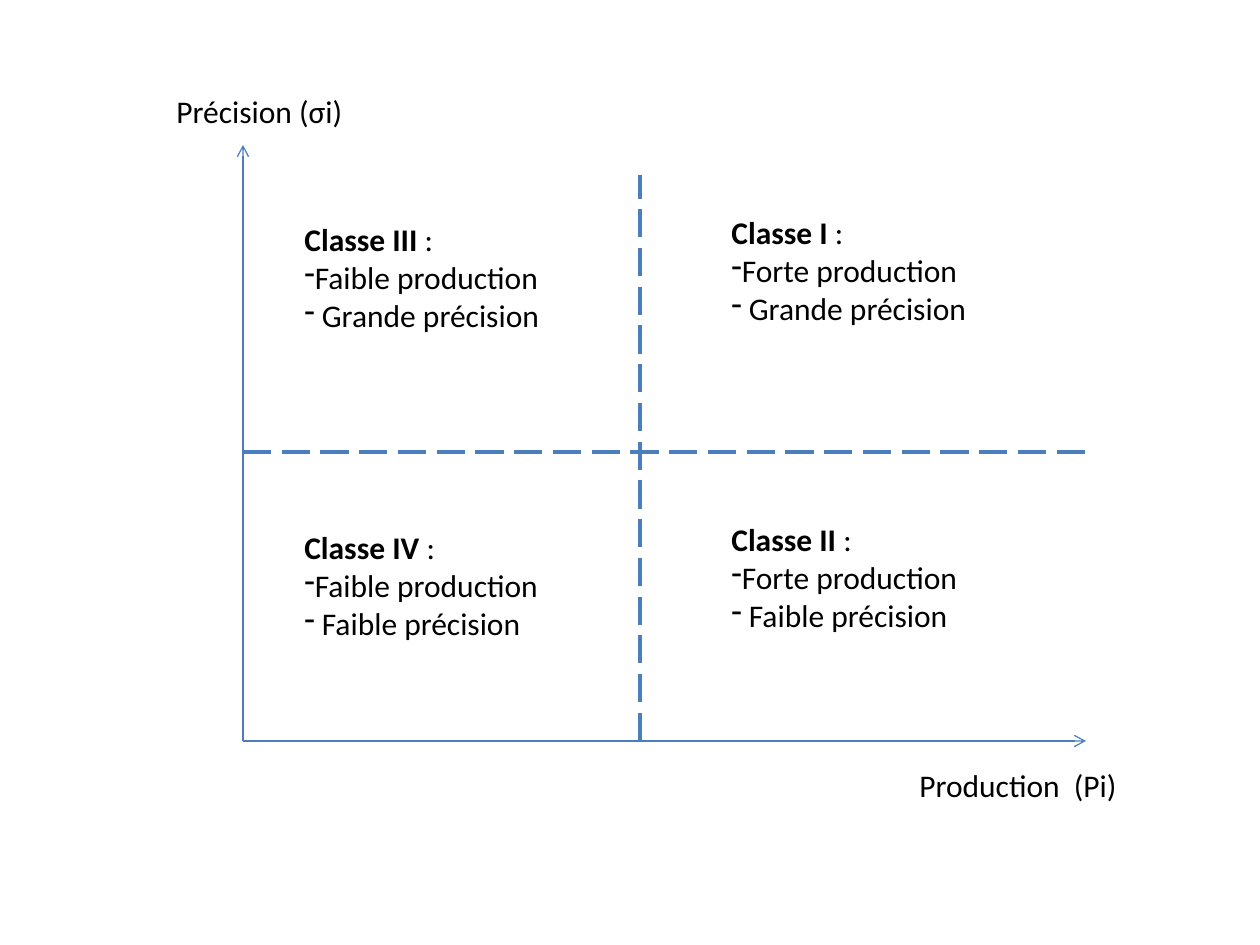
from lxml import etree
from pptx import Presentation
from pptx.dml.color import RGBColor
from pptx.enum.dml import MSO_LINE
from pptx.enum.shapes import MSO_CONNECTOR
from pptx.enum.text import MSO_AUTO_SIZE
from pptx.oxml.ns import qn
from pptx.util import Inches, Pt

STRAIGHT = MSO_CONNECTOR.STRAIGHT
DASH = MSO_LINE.LONG_DASH
GROW = MSO_AUTO_SIZE.SHAPE_TO_FIT_TEXT
PX = Inches(1) / 126
COLORS = {"line": "4B7EBC", "text": "000000"}


def scale(*sizes):
    return [round(size * PX) for size in sizes]


def add_text(box, lines):
    shape = slide.shapes.add_textbox(*scale(*box))
    frame = shape.text_frame
    frame.word_wrap = True
    frame.auto_size = GROW
    frame.text = "\n".join(lines)
    for para in frame.paragraphs:
        for run in para.runs:
            run.font.name = "Calibri"
            run.font.size = Pt(18)
            run.font.color.rgb = RGBColor.from_string(COLORS["text"])
    return frame


deck = Presentation()
deck.slide_width, deck.slide_height = scale(1260, 945)
slide = deck.slides.add_slide(deck.slide_layouts[6])

left, right, base = 243, 1086, 741
mid_x, mid_y = 640, 452
lines = [
    (left, base, left, 145, False),
    (left, base, right, base, False),
    (left, mid_y, right, mid_y, True),
    (mid_x, base, mid_x, 175, True),
]
for x1, y1, x2, y2, dashed in lines:
    line = slide.shapes.add_connector(STRAIGHT, *scale(x1, y1, x2, y2))
    line.line.color.rgb = RGBColor.from_string(COLORS["line"])
    line.line.width = Pt(2 if dashed else 0.75)
    if dashed:
        line.line.dash_style = DASH
    else:
        tail = etree.SubElement(line.line._get_or_add_ln(), qn("a:tailEnd"))
        tail.set("type", "arrow")
    etree.SubElement(line._element.spPr, qn("a:effectLst"))

classes = [
    ("I", 719, 207, 307, "Forte", "Grande"),
    ("II", 719, 514, 367, "Forte", "Faible"),
    ("III", 292, 214, 297, "Faible", "Grande"),
    ("IV", 292, 522, 338, "Faible", "Faible"),
]
for name, x, y, width, yields, level in classes:
    items = [f"Classe {name}", f"{yields} production", f" {level} précision"]
    frame = add_text((x, y, width, 127), items)
    head, *points = frame.paragraphs
    head.runs[0].font.bold = True
    colon = head.add_run()
    colon.text = " :"
    colon.font.name = "Calibri"
    colon.font.size = Pt(18)
    colon.font.color.rgb = RGBColor.from_string(COLORS["text"])
    for point in points:
        bullet = etree.SubElement(point._p.get_or_add_pPr(), qn("a:buChar"))
        bullet.set("char", "-")

add_text((907, 760, 277, 50), ["Production  (Pi)"])
add_text((164, 86, 238, 50), ["Précision (σi)"])

deck.save("out.pptx")
